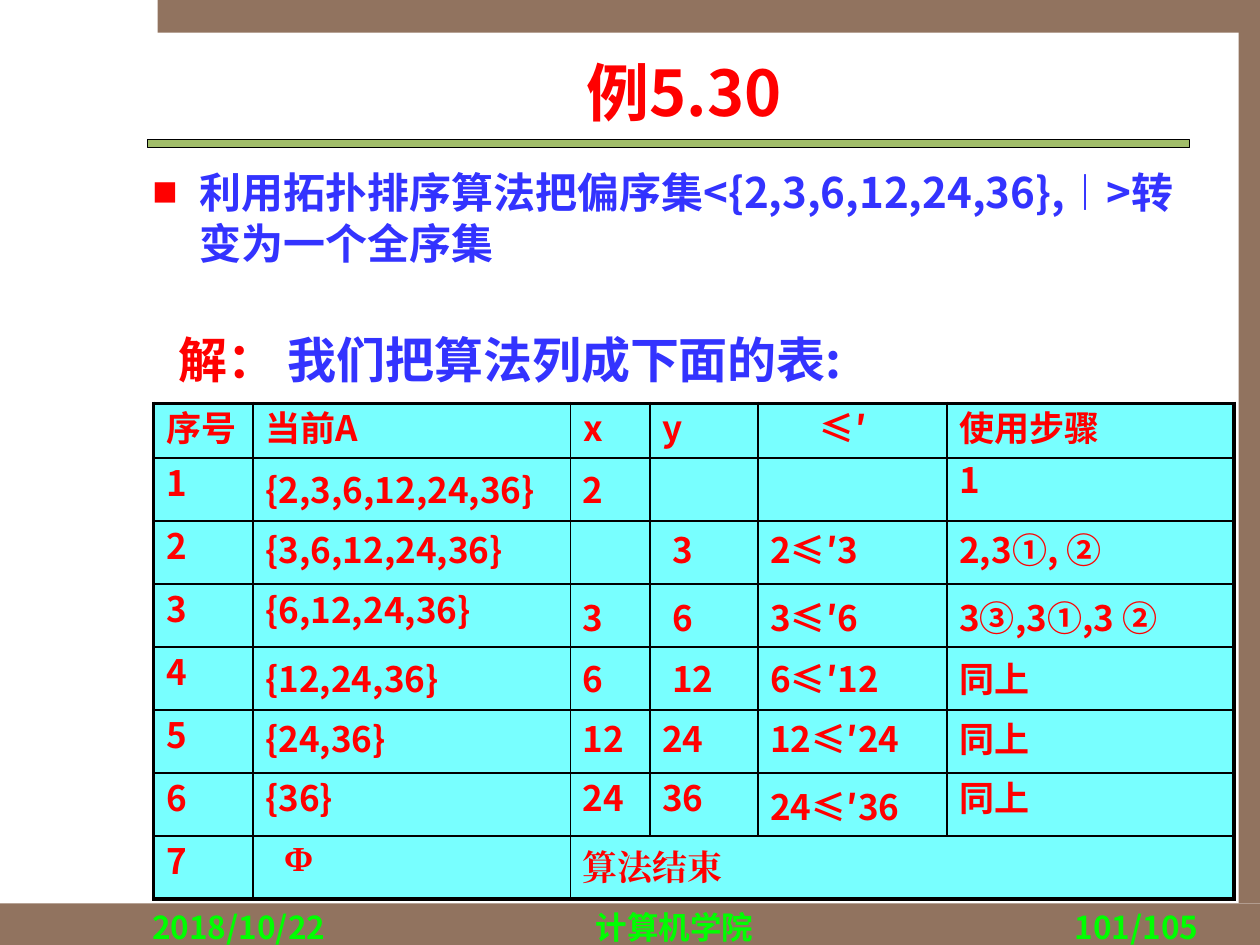
from dataclasses import dataclass
from typing import NamedTuple

from lxml import etree
from pptx import Presentation
from pptx import util as u
from pptx.dml.color import RGBColor
from pptx.enum import shapes, text
from pptx.oxml.ns import qn

Cm, Pt = u.Cm, u.Pt
AL = text.PP_ALIGN


@dataclass(frozen=True)
class Theme:
    frame: str = "91735F"
    rule: str = "A1BD69"
    line: str = "000000"
    accent: str = "FF0000"
    body: str = "3333FF"
    footer: str = "00FF00"
    cell: str = "78FFFF"
    font: str = "Noto Sans CJK SC"
    serif: str = "Times New Roman"
    title_size: int = 36
    solution_size: int = 28
    body_size: int = 24
    table_size: int = 20
    footer_size: int = 18
    thin: float = 1
    thick: float = 2.25


T = Theme()


class Box(NamedTuple):
    left: float
    top: float
    width: float
    height: float

    def lengths(self) -> list:
        return [Cm(v) for v in self]


class Entry(NamedTuple):
    """Text laid over table column col; dx and dy shift it from the column and step."""
    col: int
    text: str
    dx: float = 0
    dy: float = 0
    font: str = T.font


COLS = [2.0, 6.4, 1.6, 2.18, 3.81, 5.79]
HEAD_HEIGHT, ROW_HEIGHT = 1.09, 1.27
TABLE = Box(3.1, 8.13, sum(COLS), HEAD_HEIGHT + 7 * ROW_HEIGHT)
HEADINGS = ["序号", "当前A", "x", "y", "≤′", "使用步骤"]
ENTRY_WIDTHS = [2.0, 6.4, 1.6, 1.6, 3.4, 4.8]
STEPS = [
    (9.32, [Entry(1, "{2,3,6,12,24,36}"), Entry(2, "2"), Entry(5, "1", dy=-0.2)]),
    (10.52, [Entry(1, "{3,6,12,24,36}"), Entry(3, "3", dx=0.2),
             Entry(4, "2≤′3"), Entry(5, "2,3①, ②")]),
    (11.91, [Entry(1, "{6,12,24,36}", dy=-0.18), Entry(2, "3"), Entry(3, "6", dx=0.2),
             Entry(4, "3≤′6"), Entry(5, "3③,3①,3 ②")]),
    (13.13, [Entry(1, "{12,24,36}"), Entry(2, "6"), Entry(3, "12", dx=0.2),
             Entry(4, "6≤′12"), Entry(5, "同上")]),
    (14.33, [Entry(1, "{24,36}"), Entry(2, "12"), Entry(3, "24"),
             Entry(4, "12≤′24"), Entry(5, "同上")]),
    (15.52, [Entry(1, "{36}"), Entry(2, "24"), Entry(3, "36"),
             Entry(4, "24≤′36", dy=0.2), Entry(5, "同上")]),
    (16.74, [Entry(1, "Φ", dx=0.38, font=T.serif),
             Entry(2, "算法结束", dy=0.18, font=T.serif)]),
]


def rgb(color: str) -> RGBColor:
    return RGBColor.from_string(color)


def format_run(r, size: int, color: str, font: str = T.font) -> None:
    r.font.size, r.font.bold, r.font.name = Pt(size), True, font
    r.font.color.rgb = rgb(color)
    ea = etree.SubElement(r.font._element, qn("a:ea"))
    ea.set("typeface", font)


def format_paragraph(p, size: int, color: str, align=AL.LEFT, font: str = T.font) -> None:
    p.alignment = align
    p.line_spacing = Pt(round(size * 1.2))
    p.space_before = Pt(0)
    for r in p.runs:
        format_run(r, size, color, font)


def add_bar(s, box: Box, fill: str, outlined: bool = False) -> None:
    sp = s.shapes.add_shape(shapes.MSO_SHAPE.RECTANGLE, *box.lengths())
    sp.shadow.inherit = False
    sp.fill.solid()
    sp.fill.fore_color.rgb = rgb(fill)
    if outlined:
        sp.line.color.rgb = rgb(T.line)
        sp.line.width = Pt(0.75)
    else:
        sp.line.fill.background()


def add_text(s, box: Box, words: str, size: int, color: str,
             align=AL.LEFT, font: str = T.font):
    tf = s.shapes.add_textbox(*box.lengths()).text_frame
    tf.word_wrap = True
    tf.text = words
    format_paragraph(tf.paragraphs[0], size, color, align, font)
    return tf


def place(sp, box: Box):
    sp.left, sp.top, sp.width, sp.height = box.lengths()
    tf = sp.text_frame
    tf.auto_size = text.MSO_AUTO_SIZE.NONE
    return tf


def set_margins(tf, margin: float) -> None:
    tf.margin_left = tf.margin_right = tf.margin_top = tf.margin_bottom = Cm(margin)


def add_bullet(p, mark: str, indent: float, color: str) -> None:
    pPr = p._p.get_or_add_pPr()
    pPr.set("marL", str(Cm(indent)))
    pPr.set("indent", str(-Cm(indent)))
    clr = etree.SubElement(pPr, qn("a:buClr"))
    etree.SubElement(clr, qn("a:srgbClr")).set("val", color)
    etree.SubElement(pPr, qn("a:buFont")).set("typeface", T.serif)
    etree.SubElement(pPr, qn("a:buChar")).set("char", mark)


def set_borders(cell, **widths: float) -> None:
    tcPr = cell._tc.get_or_add_tcPr()
    for side, width in widths.items():
        ln = etree.SubElement(tcPr, qn(f"a:ln{side}"))
        ln.set("w", str(Pt(width)))
        fill = etree.SubElement(ln, qn("a:solidFill"))
        etree.SubElement(fill, qn("a:srgbClr")).set("val", T.line)


def add_steps_table(s) -> None:
    last = len(STEPS)
    tbl = s.shapes.add_table(last + 1, len(COLS), *TABLE.lengths()).table
    tbl.first_row = tbl.horz_banding = False
    for column, width in zip(tbl.columns, COLS):
        column.width = Cm(width)
    for i, row in enumerate(tbl.rows):
        row.height = Cm(ROW_HEIGHT if i else HEAD_HEIGHT)
    tbl.cell(last, 2).merge(tbl.cell(last, len(COLS) - 1))
    for i in range(last + 1):
        for j, heading in enumerate(HEADINGS):
            cell = tbl.cell(i, j)
            at_right = j + cell.span_width == len(COLS)
            set_borders(cell, L=T.thin if j else T.thick,
                        R=T.thick if at_right else T.thin,
                        T=T.thin if i else T.thick,
                        B=T.thick if i == last else T.thin)
            cell.fill.solid()
            cell.fill.fore_color.rgb = rgb(T.cell)
            if i == 0 or j == 0:
                cell.text = heading if i == 0 else str(i)
                format_paragraph(cell.text_frame.paragraphs[0], T.table_size,
                                 T.accent, AL.JUSTIFY)
    tbl.cell(0, 4).margin_left = Cm(1.25)


def main() -> None:
    prs = Presentation()
    prs.slide_width, prs.slide_height = Cm(25.4), Cm(19.05)
    s = prs.slides.add_slide(prs.slide_layouts[1])

    for box in (Box(0, 18.21, 25.4, 0.84), Box(3.18, 0, 22.22, 0.66),
                Box(24.97, 0.64, 0.43, 17.57)):
        add_bar(s, box, T.frame)
    add_bar(s, Box(2.97, 2.82, 21.01, 0.15), T.rule, outlined=True)
    for left, width, words, align in ((2.82, 5.28, "2018/10/22", AL.LEFT),
                                      (8.1, 11.0, "计算机学院", AL.CENTER),
                                      (19.13, 5.28, "101/105", AL.RIGHT)):
        add_text(s, Box(left, 18.16, width, 0.46), words, T.footer_size, T.footer, align)

    tf = place(s.shapes.title, Box(3.61, 0.84, 20.37, 2.0))
    tf.vertical_anchor = text.MSO_ANCHOR.MIDDLE
    tf.text = "例5.30"
    format_paragraph(tf.paragraphs[0], T.title_size, T.accent, AL.CENTER)

    tf = place(s.placeholders[1], Box(2.97, 3.25, 21.54, 3.45))
    set_margins(tf, 0.1)
    tf.text = "利用拓扑排序算法把偏序集<{2,3,6,12,24,36},︱>转变为一个全序集"
    p = tf.paragraphs[0]
    add_bullet(p, "■", 0.95, T.accent)
    format_paragraph(p, T.body_size, T.body)

    tf = add_text(s, Box(3.5, 6.53, 21.16, 1.27), "解： ", T.solution_size, T.accent)
    set_margins(tf, 0.1)
    r = tf.paragraphs[0].add_run()
    r.text = "我们把算法列成下面的表:"
    format_run(r, T.solution_size, T.body)

    add_steps_table(s)
    for top, entries in STEPS:
        for e in entries:
            left = TABLE.left + sum(COLS[:e.col]) + e.dx
            width = 3.4 if e.font == T.serif else ENTRY_WIDTHS[e.col]
            add_text(s, Box(left, top + e.dy, width, HEAD_HEIGHT), e.text,
                     T.table_size, T.accent, font=e.font)

    prs.save("out.pptx")


if __name__ == "__main__":
    main()
